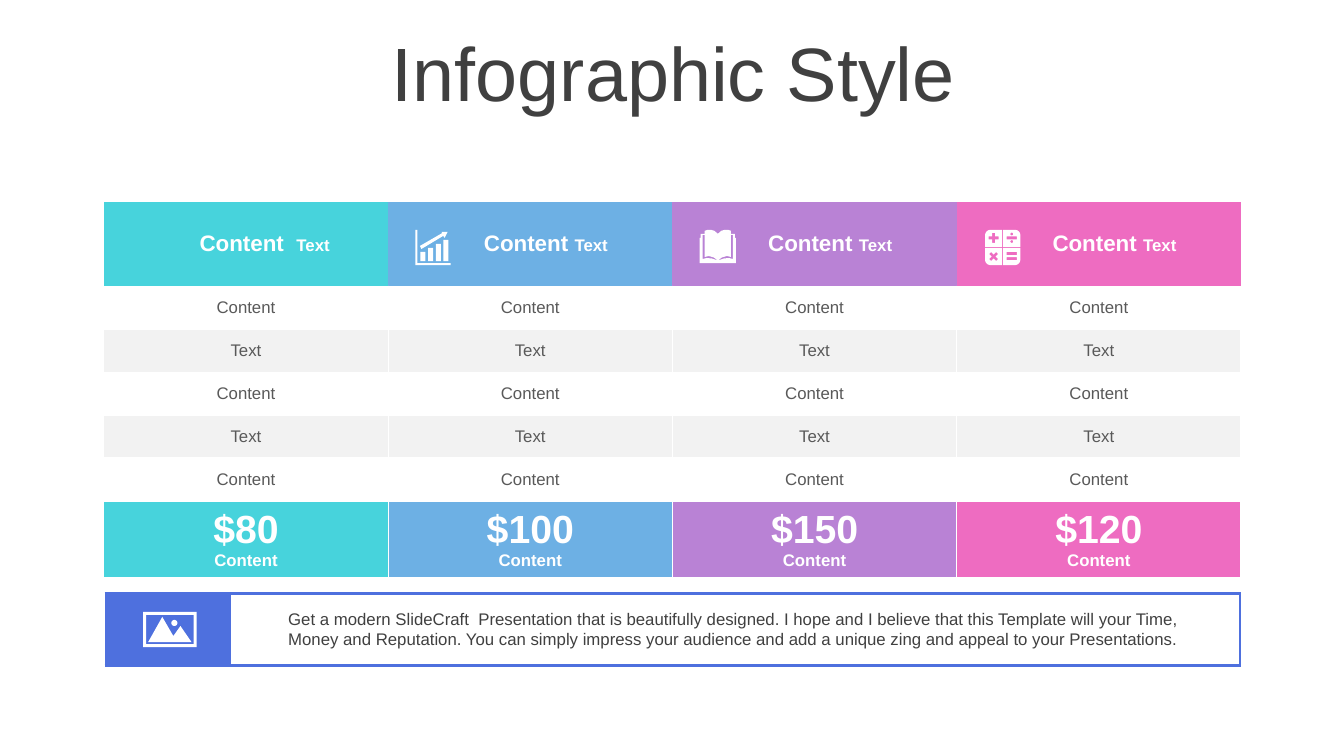
from dataclasses import dataclass
from math import cos, sin, tau

from lxml.etree import SubElement
from pptx import Presentation
from pptx.dml.color import RGBColor
from pptx.enum.text import MSO_ANCHOR, MSO_AUTO_SIZE, PP_ALIGN
from pptx.oxml.ns import qn
from pptx.util import Inches, Pt


@dataclass(frozen=True)
class Theme:
    face: str = "Arial"
    white: str = "FFFFFF"
    band: str = "F2F2F2"
    dark: str = "404040"
    gray: str = "595959"
    blue: str = "4E70DE"
    hues: tuple = ("47D3DC", "6DB0E4", "B982D5", "EE6CC1")
    huge: int = 54
    price: int = 28
    head: int = 16
    body: int = 12


class Deck:
    def __init__(self, theme):
        self.theme = theme
        self.file = Presentation()
        self.file.slide_width = Inches(13.33)
        self.file.slide_height = Inches(7.5)
        self.slide = self.file.slides.add_slide(self.file.slide_layouts[5])

    def style(self, item, values):
        for key, value in values.items():
            setattr(item, key, value)

    def add_text(self, para, text, size, color, bold=False):
        run = para.add_run()
        run.text = text
        self.style(run.font, {"name": self.theme.face, "size": Pt(size), "bold": bold})
        run.font.color.rgb = RGBColor.from_string(color)

    def title(self, text, *box):
        shape = self.slide.shapes.title
        self.style(shape, dict(zip(("left", "top", "width", "height"), map(Inches, box))))
        self.style(shape.text_frame, {
            "word_wrap": True, "auto_size": MSO_AUTO_SIZE.NONE,
            "vertical_anchor": MSO_ANCHOR.MIDDLE})
        para = shape.text_frame.paragraphs[0]
        self.style(para, {"alignment": PP_ALIGN.CENTER, "line_spacing": 0.9})
        self.add_text(para, text, self.theme.huge, self.theme.dark)

    def note(self, text, *box):
        frame = self.slide.shapes.add_textbox(*map(Inches, box)).text_frame
        frame.word_wrap = True
        self.add_text(frame.paragraphs[0], text, self.theme.body, self.theme.dark)

    def table(self, left, top, cols, rows):
        table = self.slide.shapes.add_table(
            len(rows), len(cols), Inches(left), Inches(top),
            Inches(sum(cols)), Inches(sum(rows))).table
        self.style(table, {"first_row": False, "horz_banding": False})
        for col, width in zip(table.columns, cols):
            col.width = Inches(width)
        for row, height in zip(table.rows, rows):
            row.height = Inches(height)
        return table

    def cell(self, cell, fill, lines=(), align=PP_ALIGN.CENTER, edge=None, weight=1):
        """Each line is a list of (text, size, color, bold) runs."""
        cell.fill.solid()
        cell.fill.fore_color.rgb = RGBColor.from_string(fill)
        cell.vertical_anchor = MSO_ANCHOR.MIDDLE
        frame = cell.text_frame
        for i, runs in enumerate(lines):
            para = frame.add_paragraph() if i else frame.paragraphs[0]
            para.alignment = align
            for run in runs:
                self.add_text(para, *run)
        # Borders come before the fill in the cell properties
        props = cell._tc.get_or_add_tcPr()
        for i, side in enumerate("LRTB"):
            line = SubElement(props, qn(f"a:ln{side}"), w=str(Pt(weight)))
            if edge:
                paint = SubElement(line, qn("a:solidFill"))
                SubElement(paint, qn("a:srgbClr"), val=edge)
            else:
                SubElement(line, qn("a:noFill"))
            props.insert(i, line)

    def icon(self, left, top, parts):
        """Parts are closed outlines in hundredths of an inch."""
        fine = [[(x * 100, y * 100) for x, y in part] for part in parts]
        pen = self.slide.shapes.build_freeform(*fine[0][0], scale=Inches(0.01) / 100)
        for i, part in enumerate(fine):
            if i:
                pen.move_to(*part[0])
            pen.add_line_segments(part[1:], close=True)
        shape = pen.convert_to_shape(Inches(left), Inches(top))
        shape.shadow.inherit = False
        shape.fill.solid()
        shape.fill.fore_color.rgb = RGBColor.from_string(self.theme.white)
        shape.line.fill.background()


def rect(x, y, w, h):
    return [(x, y), (x + w, y), (x + w, y + h), (x, y + h)]


def disc(x, y, r, count=24):
    return [(x + r * cos(tau * i / count), y + r * sin(tau * i / count))
            for i in range(count)]


def flip(part, size):
    return [(size - x, y) for x, y in part]


def chart():
    bars = [rect(5 + 7.6 * i, 22 - 4 * i, 5, 9 + 4 * i) for i in range(4)]
    arrow = [(26, 2), (32, 2), (29, 8), (27.7, 6), (6, 19), (4.5, 16), (26.5, 3.3)]
    axes = [(0, 0), (2, 0), (2, 33), (35, 33), (35, 35), (0, 35)]
    return bars + [arrow, axes]


def book():
    half = [(0, 33), (0, 8), (1, 8), (1, 4), (5, 4), (5, 1), (8, 0), (11, 0),
            (14.5, 1), (18, 4)]
    slit = [(5, 5), (3, 5), (3, 29), (7, 28), (12, 28.5), (18, 30.5),
            (14, 27.5), (9, 26), (5, 27)]
    return [half + flip(half, 36)[::-1], slit, flip(slit, 36)]


def keys():
    pane = [(0, 17), (0, 5), (0.5, 3), (1.6, 1.6), (3, 0.5), (5, 0), (17, 0), (17, 17)]
    low = [(x, 35 - y) for x, y in pane]
    plus = [(7, 3), (10, 3), (10, 6.5), (13.5, 6.5), (13.5, 9.5), (10, 9.5),
            (10, 13), (7, 13), (7, 9.5), (3.5, 9.5), (3.5, 6.5), (7, 6.5)]
    times = [(6, 22), (4, 24), (6.5, 26.5), (4, 29), (6, 31), (8.5, 28.5),
             (11, 31), (13, 29), (10.5, 26.5), (13, 24), (11, 22), (8.5, 24.5)]
    bars = [rect(21.5, y, 10, 3) for y in (6.5, 22, 27)]
    dots = [disc(26.5, y, 1.4) for y in (4.2, 11.6)]
    return [pane, flip(pane, 35), low, flip(low, 35), plus, times] + bars + dots


def photo():
    peaks = [(19, 5), (30, 24), (37, 14), (48, 30), (5, 30)]
    return [rect(0, 0, 53, 35), rect(3, 3, 47, 29), peaks, disc(31, 11, 3)]


def main():
    theme = Theme()
    deck = Deck(theme)
    deck.title("Infographic Style", 0.35, 0.37, 12.66, 0.79)

    # Price table
    grid = deck.table(1.03, 2, [0.85, 1.97] * 4, [0.84] + [2.13 / 5] * 5 + [0.76])
    words = ("Content", "Text", "Content", "Text", "Content")
    costs = ("$80", "$100", "$150", "$120")
    for i, (hue, cost) in enumerate(zip(theme.hues, costs)):
        col = 2 * i
        lead = "Content " if i else "Content  "
        deck.cell(grid.cell(0, col), hue)
        deck.cell(grid.cell(0, col + 1), hue,
                  [[(lead, theme.head, theme.white, True),
                    ("Text", theme.body, theme.white, True)]], PP_ALIGN.LEFT)
        for row in range(1, 7):
            grid.cell(row, col).merge(grid.cell(row, col + 1))
        for row, word in enumerate(words, 1):
            fill = theme.white if row % 2 else theme.band
            deck.cell(grid.cell(row, col), fill,
                      [[(word, theme.body, theme.gray)]], edge=theme.white)
        deck.cell(grid.cell(6, col), hue,
                  [[(cost, theme.price, theme.white, True)],
                   [("Content", theme.body, theme.white, True)]], edge=theme.white)

    # Footer table and text
    foot = deck.table(1.05, 5.89, [1.23, 10.02], [0.71])
    for col, fill in enumerate((theme.blue, theme.white)):
        deck.cell(foot.cell(0, col), fill, edge=theme.blue, weight=2.25)
    deck.note("Get a modern SlideCraft  Presentation that is beautifully designed. "
              "I hope and I believe that this Template will your Time, Money and "
              "Reputation. You can simply impress your audience and add a unique "
              "zing and appeal to your Presentations.", 2.76, 5.99, 9.29, 0.5)

    # Icons
    for left, top, draw in ((4.12, 2.28, chart), (9.77, 2.28, keys),
                            (6.94, 2.28, book), (1.42, 6.07, photo)):
        deck.icon(left, top, draw())

    deck.file.save("out.pptx")


if __name__ == "__main__":
    main()
